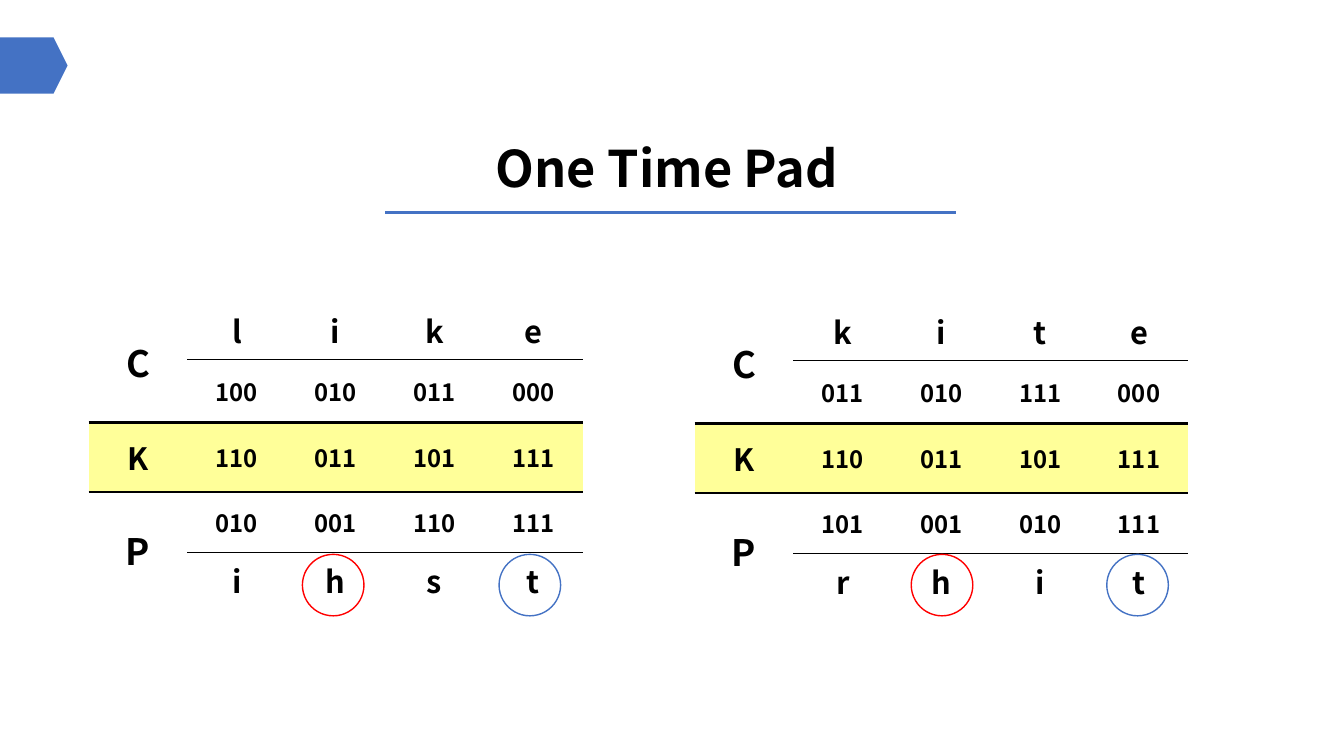
from lxml import etree
from pptx import Presentation
from pptx import util as u
from pptx.dml import color
from pptx.enum import shapes, text
from pptx.oxml import ns

BLACK, BLUE, RED, YELLOW = "000000", "4472C4", "FF0000", "FFFF99"
NO_STYLE = "{2D5ABB26-0587-4C30-8999-92F81FD0307C}"
ROW_HEIGHTS = (7.87, 8.27, 9.2, 8, 7.33)
ROW_SIZES = (22, 17, 17, 17, 22)
RULES_BELOW = (1, 2.25, 2.25, 1)
LABELS = {0: ("C", 26), 2: ("K", 22), 3: ("P", 26)}
KEY_ROW = 2


def rgb(value):
    return color.RGBColor.from_string(value)


class PadSlide:
    font = "Noto Sans CJK KR"

    def __init__(self, deck):
        self.width, self.height = deck.slide_width, deck.slide_height
        self.slide = deck.slides.add_slide(deck.slide_layouts[6])
        self.items = self.slide.shapes

    def x(self, percent):
        return u.Emu(round(self.width * percent / 100))

    def y(self, percent):
        return u.Emu(round(self.height * percent / 100))

    def box(self, left, top, width, height):
        return self.x(left), self.y(top), self.x(width), self.y(height)

    def letter(self, frame, wording, size):
        paragraph = frame.paragraphs[0]
        paragraph.alignment = text.PP_ALIGN.CENTER
        run = paragraph.add_run()
        run.text = wording
        run.font.name, run.font.size, run.font.bold = self.font, u.Pt(size), True
        run.font.color.rgb = rgb(BLACK)

    def tag(self, points, fill):
        corners = [(self.x(x), self.y(y)) for x, y in points]
        builder = self.items.build_freeform(*corners[0])
        builder.add_line_segments(corners[1:], close=True)
        marker = builder.convert_to_shape()
        marker.shadow.inherit = False
        marker.fill.solid()
        marker.fill.fore_color.rgb = rgb(fill)
        marker.line.fill.background()

    def title(self, wording, *area):
        frame = self.items.add_textbox(*self.box(*area)).text_frame
        frame.word_wrap = True
        self.letter(frame, wording, 36)

    def rule(self, left, right, level, hue):
        underline = self.items.add_connector(
            shapes.MSO_CONNECTOR.STRAIGHT,
            self.x(left), self.y(level), self.x(right), self.y(level))
        underline.line.color.rgb = rgb(hue)
        underline.line.width = u.Pt(2)
        etree.SubElement(underline._element.spPr, ns.qn("a:effectLst"))

    def ring(self, left, top, hue):
        circle = self.items.add_shape(
            shapes.MSO_SHAPE.OVAL, *self.box(left, top, 4.58, 8.13))
        circle.shadow.inherit = False
        circle.fill.background()
        circle.line.color.rgb = rgb(hue)
        circle.line.width = u.Pt(1)

    def edge(self, cell, side, points):
        border = etree.Element(ns.qn(f"a:{side}"), w=str(u.Pt(points)))
        paint = etree.SubElement(border, ns.qn("a:solidFill"))
        etree.SubElement(paint, ns.qn("a:srgbClr"), val=BLACK)
        cell._tc.get_or_add_tcPr().insert(0, border)

    def cipher(self, left, top, rows):
        grid = self.items.add_table(
            5, 5, *self.box(left, top, 5 * 7.35, sum(ROW_HEIGHTS))).table
        grid.first_row = grid.horz_banding = False
        grid._tbl.tblPr.find(ns.qn("a:tableStyleId")).text = NO_STYLE
        for column in grid.columns:
            column.width = self.x(7.35)
        for row, height in zip(grid.rows, ROW_HEIGHTS):
            row.height = self.y(height)
        for first in (0, 3):
            grid.cell(first, 0).merge(grid.cell(first + 1, 0))
        for r, codes in enumerate(rows):
            label, label_size = LABELS.get(r, ("", 0))
            for c, wording in enumerate((label, *codes)):
                cell = grid.cell(r, c)
                cell.vertical_anchor = text.MSO_ANCHOR.MIDDLE
                if r == KEY_ROW:
                    cell.fill.solid()
                    cell.fill.fore_color.rgb = rgb(YELLOW)
                else:
                    cell.fill.background()
                if wording:
                    self.letter(cell.text_frame, wording, ROW_SIZES[r] if c else label_size)
                for side, boundary in (("lnB", r), ("lnT", r - 1)):
                    if 0 <= boundary < 4 and (c or boundary in (1, 2)):
                        self.edge(cell, side, RULES_BELOW[boundary])


def main():
    deck = Presentation()
    deck.slide_width, deck.slide_height = u.Inches(13.33), u.Inches(7.5)
    pad = PadSlide(deck)
    pad.tag([(0, 4.93), (3.98, 4.93), (5.03, 8.67), (3.98, 12.4), (0, 12.4)], BLUE)
    pad.rule(28.65, 71.1, 28.13, BLUE)
    pad.title("One Time Pad", 26.63, 17.47, 45.98, 9.47)
    key = ("110", "011", "101", "111")
    pad.cipher(6.6, 39.73, [
        "like", ("100", "010", "011", "000"), key,
        ("010", "001", "110", "111"), "ihst"])
    pad.cipher(51.68, 39.87, [
        "kite", ("011", "010", "111", "000"), key,
        ("101", "001", "010", "111"), "rhit"])
    for red_left, blue_left in ((22.5, 37.13), (67.8, 82.35)):
        pad.ring(red_left, 73.33, RED)
        pad.ring(blue_left, 73.33, BLUE)
    deck.save("out.pptx")


if __name__ == "__main__":
    main()
